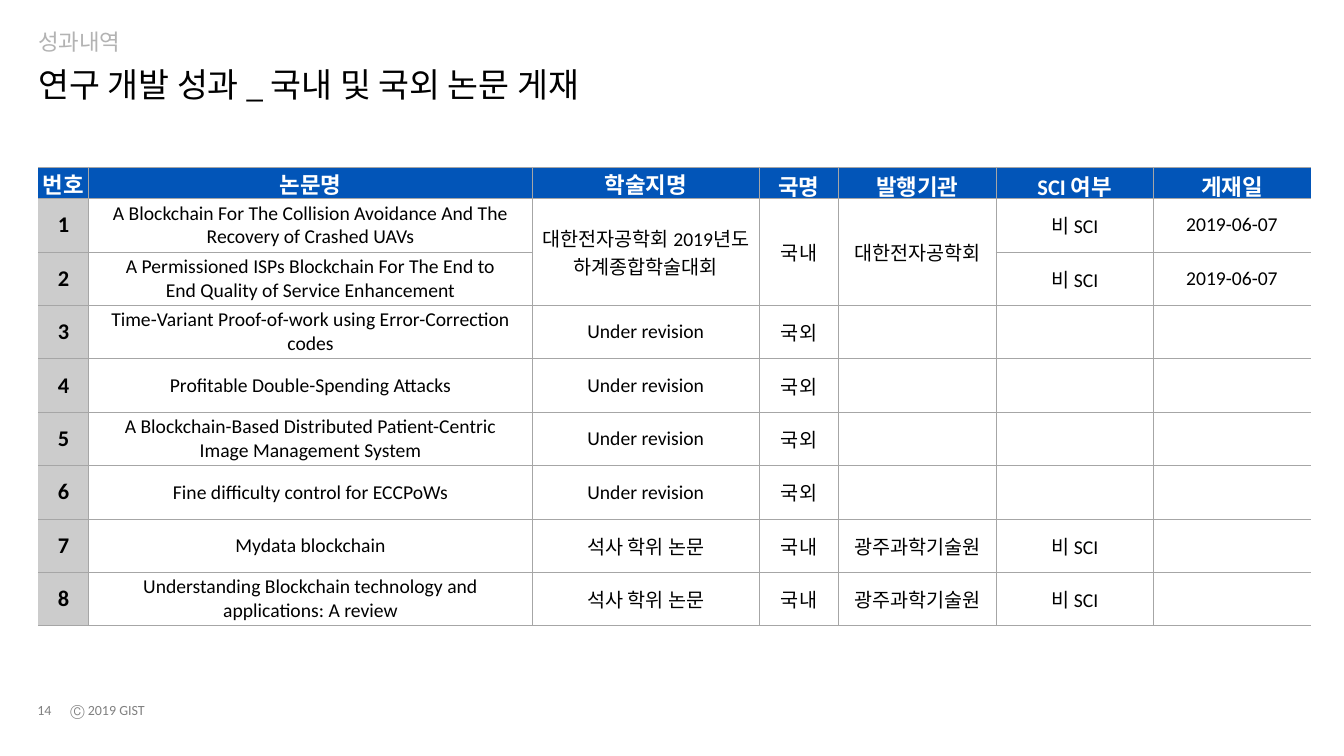
from lxml.etree import SubElement as Sub
from pptx import Presentation
from pptx.dml.color import RGBColor as RGB
from pptx.enum.text import MSO_ANCHOR as Anchor, MSO_AUTO_SIZE as Auto, PP_ALIGN as Align
from pptx.oxml.ns import qn
from pptx.util import Inches, Pt

HUES = {"black": "000000", "white": "FFFFFF", "blue": "0255B8", "band": "CCCCCC",
        "rule": "A6A6A6", "soft": "B3B3B3", "foot": "808080"}
HEADS = ["번호", "논문명", "학술지명", "국명", "발행기관", "SCI 여부", "게재일"]
WIDTHS = [0.5, 4.4, 2.25, 0.79, 1.56, 1.56, 1.56]
PAPERS = [
    ["A Blockchain For The Collision Avoidance And The Recovery of Crashed UAVs",
     "대한전자공학회 2019년도 하계종합학술대회", "국내", "대한전자공학회", "비 SCI", "2019-06-07"],
    ["A Permissioned ISPs Blockchain For The End to End Quality of Service Enhancement",
     "", "", "", "비 SCI", "2019-06-07"],
    ["Time-Variant Proof-of-work using Error-Correction codes",
     "Under revision", "국외", "", "", ""],
    ["Profitable Double-Spending Attacks", "Under revision", "국외", "", "", ""],
    ["A Blockchain-Based Distributed Patient-Centric Image Management System",
     "Under revision", "국외", "", "", ""],
    ["Fine difficulty control for ECCPoWs", "Under revision", "국외", "", "", ""],
    ["Mydata blockchain", "석사 학위 논문", "국내", "광주과학기술원", "비 SCI", ""],
    ["Understanding Blockchain technology and applications: A review",
     "석사 학위 논문", "국내", "광주과학기술원", "비 SCI", ""],
]


def write(frame, text, size=14, hue="black", bold=False, align=Align.LEFT, line=None):
    """Put formatted text in the first paragraph of a frame."""
    para = frame.paragraphs[0]
    para.alignment = align
    para.line_spacing = line
    run = para.add_run()
    run.text = text
    run.font.name = "Calibri"
    run.font.size = Pt(size)
    run.font.bold = bold
    run.font.color.rgb = RGB.from_string(HUES[hue])


def pad(item, left, top, right, low):
    """Set the inner margins of a frame or cell in inches."""
    item.margin_left, item.margin_top = Inches(left), Inches(top)
    item.margin_right, item.margin_bottom = Inches(right), Inches(low)


def add_box(slide, place, text, inset, anchor=Anchor.MIDDLE, wrap=False, **form):
    """Add a text box at a place given in inches."""
    frame = slide.shapes.add_textbox(*map(Inches, place)).text_frame
    frame.word_wrap = wrap
    frame.vertical_anchor = anchor
    pad(frame, *inset)
    write(frame, text, **form)


def add_title(slide, text):
    """Place and format the title."""
    title = slide.shapes.title
    title.left, title.top = Inches(0.38), Inches(0.63)
    title.width, title.height = Inches(12.6), Inches(0.46)
    frame = title.text_frame
    frame.word_wrap = True
    frame.auto_size = Auto.NONE
    frame.vertical_anchor = Anchor.TOP
    pad(frame, 0, 0.05, 0.1, 0.05)
    write(frame, text, size=24, line=0.9)


def rule_cell(cell, first, last):
    """Draw the cell borders, leaving the table's outer sides open."""
    props = cell._tc.get_or_add_tcPr()
    for side, shown in (("L", not first), ("R", not last), ("T", True), ("B", True)):
        edge = Sub(props, qn("a:ln" + side), w=str(Pt(0.75)))
        if shown:
            fill = Sub(edge, qn("a:solidFill"))
            Sub(fill, qn("a:srgbClr"), val=HUES["rule"])
        else:
            Sub(edge, qn("a:noFill"))


def fill_cell(cell, row, col, text):
    """Format one cell by its row and column."""
    head, number, paper = row == 0, col == 0, col == 1
    cell.vertical_anchor = Anchor.MIDDLE
    gap = 0 if number or head and col < 3 else 0.02
    side = 0.2 if paper and not head else gap
    pad(cell, side, gap, side, gap)
    rule_cell(cell, number, col == len(HEADS) - 1)
    if head or number:
        cell.fill.solid()
        cell.fill.fore_color.rgb = RGB.from_string(HUES["blue" if head else "band"])
    else:
        cell.fill.background()
    if text:
        strong = head or number
        write(cell.text_frame, text, size=16 if strong else 14, bold=strong,
              hue="white" if head else "black", align=Align.CENTER)


def add_papers(slide):
    """Add the table of papers."""
    rows = [HEADS] + [[str(num)] + paper for num, paper in enumerate(PAPERS, 1)]
    place = map(Inches, (0.38, 1.66, sum(WIDTHS), 4.56))
    table = slide.shapes.add_table(len(rows), len(HEADS), *place).table
    table.first_row = table.horz_banding = False
    for col, width in enumerate(WIDTHS):
        table.columns[col].width = Inches(width)
    for row, texts in enumerate(rows):
        table.rows[row].height = Inches(0.53 if row else 0.31)
        for col, text in enumerate(texts):
            fill_cell(table.cell(row, col), row, col, text)
    for col in (2, 3, 4):
        table.cell(1, col).merge(table.cell(2, col))


def main():
    """Build the slide and save it."""
    deck = Presentation()
    deck.slide_width, deck.slide_height = Inches(13.33), Inches(7.5)
    slide = deck.slides.add_slide(deck.slide_layouts[5])
    add_box(slide, (0.6, 6.91, 0.95, 0.27), "Ⓒ 2019 GIST", (0.1, 0.05, 0.1, 0.05),
            size=10, hue="foot")
    add_box(slide, (0.37, 6.92, 0.39, 0.24), "14", (0, 0, 0, 0), size=10, hue="foot")
    add_title(slide, "연구 개발 성과 _ 국내 및 국외 논문 게재")
    add_box(slide, (0.38, 0.26, 12.6, 0.34), "성과내역", (0, 0.05, 0.08, 0.05),
            anchor=Anchor.BOTTOM, wrap=True, size=16, hue="soft", line=0.9)
    add_papers(slide)
    deck.save("out.pptx")


if __name__ == "__main__":
    main()
